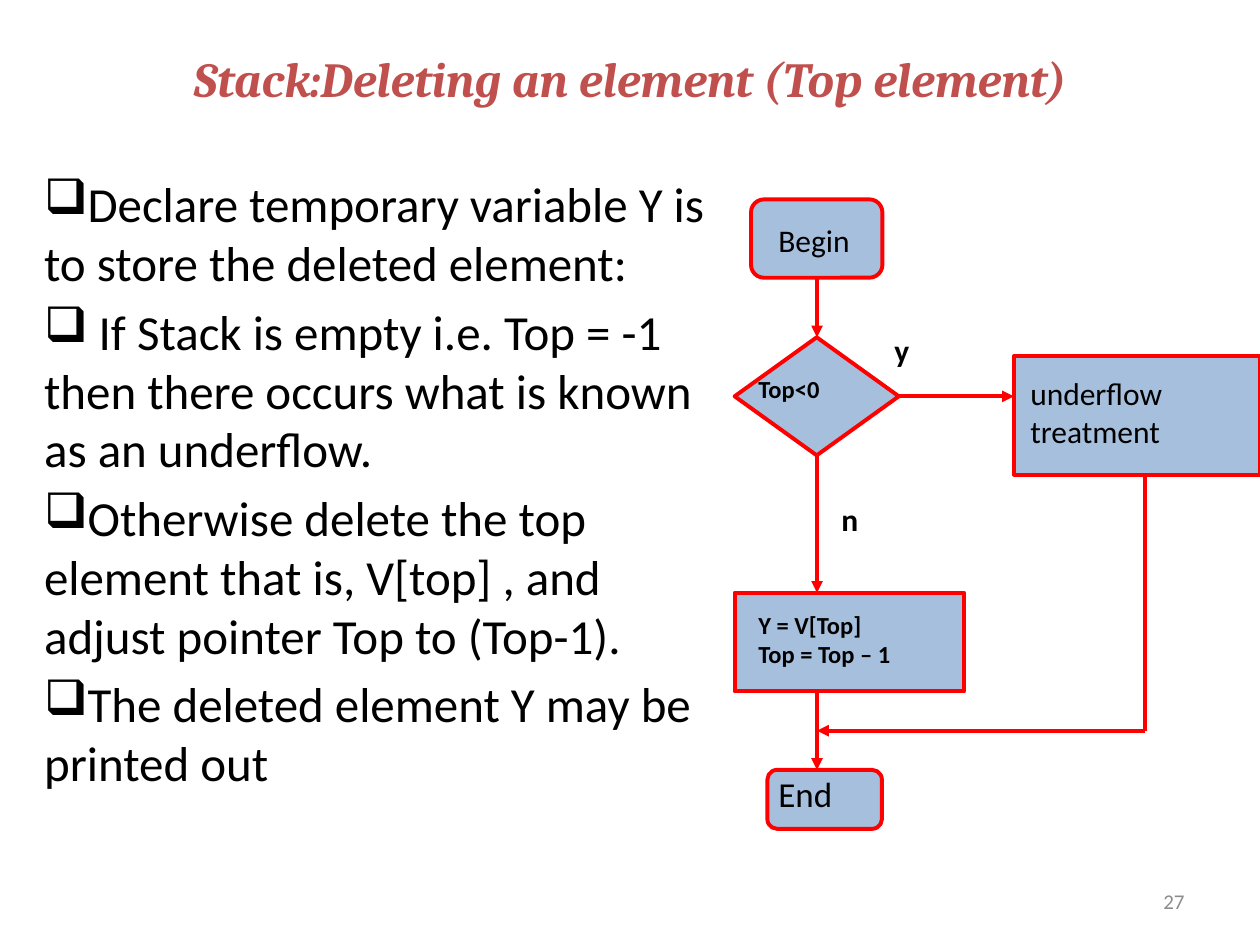
from lxml.etree import SubElement
from pptx import Presentation
from pptx.dml.color import RGBColor
from pptx.enum.shapes import MSO_CONNECTOR, MSO_SHAPE
from pptx.enum.text import MSO_ANCHOR, PP_ALIGN
from pptx.oxml.ns import qn
from pptx.util import Cm, Pt


def colour(hex_string):
    return RGBColor.from_string(hex_string)


class FlowSlide:
    """Holds the style and the current slide; all lengths are in centimetres."""
    font = "Calibri"
    ink = "000000"
    fill = "4F81BD"
    outline = "FF0000"
    opacity = 50000
    line_width = Pt(2.25)

    def __init__(self, slide):
        self.slide = slide

    def text(self, area, lines, size, bold=False, italic=False, font=None, ink=None,
             align=PP_ALIGN.LEFT, anchor=MSO_ANCHOR.TOP, wrap=True, bullet=None):
        box = self.slide.shapes.add_textbox(*map(Cm, area))
        frame = box.text_frame
        frame.word_wrap = wrap
        frame.vertical_anchor = anchor
        frame.text = lines
        for index, para in enumerate(frame.paragraphs):
            if bullet:
                self.add_bullet(para, bullet)
            if index:
                para.space_before = Pt(size * 0.2)
            para.alignment = align
            for span in para.runs:
                span.font.name = font or self.font
                span.font.size = Pt(size)
                span.font.bold = bold
                span.font.italic = italic
                span.font.color.rgb = colour(ink or self.ink)

    def add_bullet(self, para, character):
        properties = para._p.get_or_add_pPr()
        properties.set("marL", "0")
        properties.set("indent", "0")
        SubElement(properties, qn("a:buChar")).set("char", character)

    def node(self, kind, area):
        """Draw a half-transparent flowchart shape."""
        shape = self.slide.shapes.add_shape(kind, *map(Cm, area))
        shape.shadow.inherit = False
        shape.fill.solid()
        shape.fill.fore_color.rgb = colour(self.fill)
        shade = shape._element.spPr.find(qn("a:solidFill"))[0]
        SubElement(shade, qn("a:alpha")).set("val", str(self.opacity))
        self.style_line(shape.line)

    def style_line(self, line):
        line.color.rgb = colour(self.outline)
        line.width = self.line_width

    def connector(self, start, end, arrow=True):
        line = self.slide.shapes.add_connector(
            MSO_CONNECTOR.STRAIGHT, *map(Cm, (*start, *end)))
        self.style_line(line.line)
        if arrow:
            SubElement(line.line._get_or_add_ln(), qn("a:tailEnd")).set("type", "triangle")
        SubElement(line._element.spPr, qn("a:effectLst"))


def main():
    deck = Presentation()
    deck.slide_width, deck.slide_height = Cm(25.4), Cm(19.05)
    page = FlowSlide(deck.slides.add_slide(deck.slide_layouts[6]))

    page.text((18.2, 17.65, 5.93, 1.02), "27", 12, ink="8C8C8C",
              align=PP_ALIGN.RIGHT, anchor=MSO_ANCHOR.MIDDLE)
    page.text((1.27, 0.61, 22.86, 1.93), "Stack:Deleting an element (Top element)", 28,
              bold=True, italic=True, font="Cambria", ink="C0504D",
              align=PP_ALIGN.CENTER, anchor=MSO_ANCHOR.MIDDLE)

    page.node(MSO_SHAPE.FLOWCHART_ALTERNATE_PROCESS, (15.47, 15.52, 2.31, 1.19))
    page.node(MSO_SHAPE.FLOWCHART_ALTERNATE_PROCESS, (15.14, 4.02, 2.65, 1.58))
    page.node(MSO_SHAPE.FLOWCHART_DECISION, (14.81, 6.8, 3.31, 2.38))
    page.node(MSO_SHAPE.RECTANGLE, (14.81, 11.95, 4.63, 1.99))
    page.node(MSO_SHAPE.RECTANGLE, (20.44, 7.18, 4.96, 2.39))

    main_x, branch_x, join_y, test_y = 16.47, 23.09, 14.73, 7.99
    for top, bottom in ((5.6, 6.8), (9.18, 11.95), (13.94, 15.52)):
        page.connector((main_x, top), (main_x, bottom))
    page.connector((18.12, test_y), (20.44, test_y))
    page.connector((branch_x, 9.57), (branch_x, join_y), arrow=False)
    page.connector((branch_x, join_y), (main_x, join_y))

    page.text((15.44, 4.34, 2.34, 1.02), "Begin", 18)
    page.text((20.52, 7.42, 4.45, 1.78), "underflow treatment", 18)
    page.text((15.44, 15.44, 2.34, 1.09), "End", 20)
    page.text((15.04, 7.42, 2.74, 0.84), "Top<0", 14, bold=True)
    page.text((15.04, 12.17, 3.81, 1.45), "Y = V[Top]\vTop = Top – 1", 14, bold=True)
    page.text((17.78, 6.55, 1.04, 1.02), "y", 18, bold=True, wrap=False)
    page.text((16.71, 9.96, 0.89, 1.02), "n", 18, bold=True, wrap=False)

    steps = (
        "Declare temporary variable Y is to store the deleted element:",
        " If Stack is empty i.e. Top = -1 then there occurs what is known as an underflow.",
        "Otherwise delete the top element that is, V[top] , and adjust pointer Top to (Top-1).",
        "The deleted element Y may be printed out",
    )
    page.text((0.64, 3.38, 13.97, 15.16), "\n".join(steps), 28, bullet="❑")

    deck.save("out.pptx")


if __name__ == "__main__":
    main()
